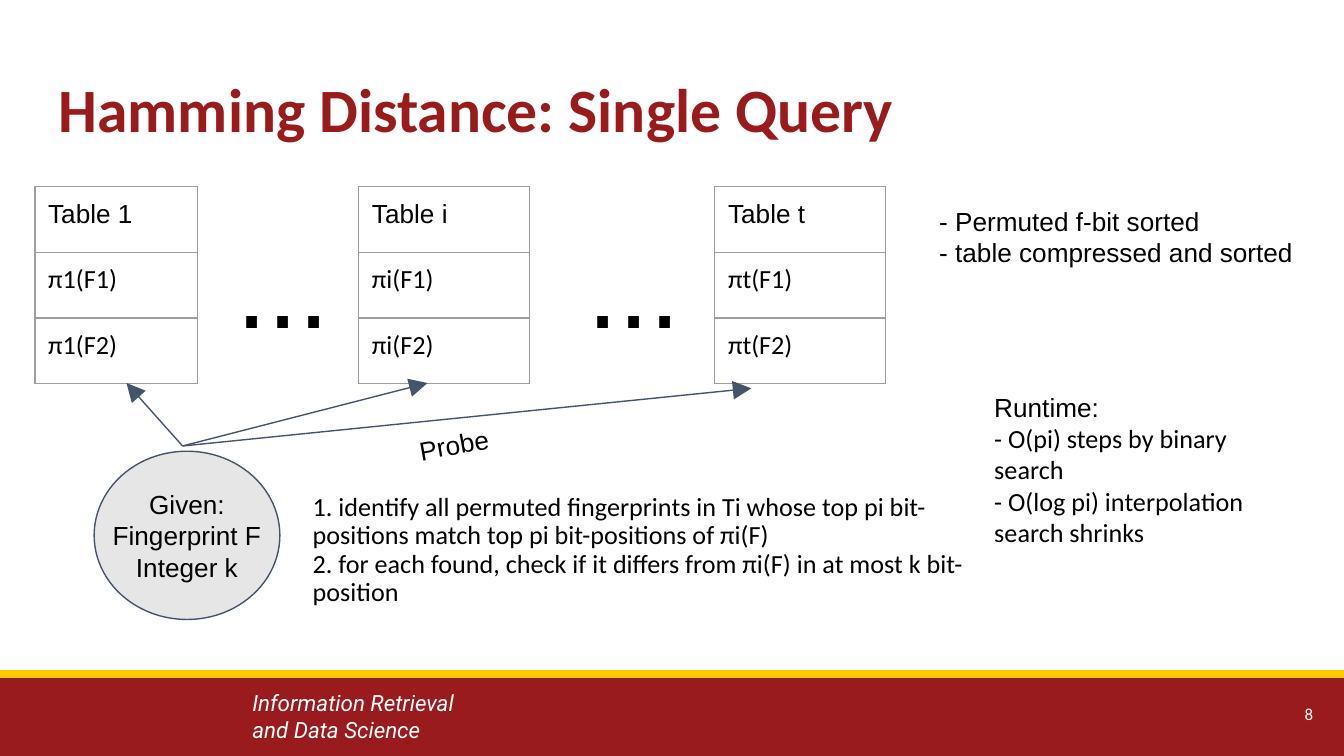
from dataclasses import dataclass

from lxml.etree import SubElement
from pptx import Presentation
from pptx.dml.color import RGBColor
from pptx.enum.shapes import MSO_CONNECTOR, MSO_SHAPE
from pptx.enum.text import MSO_ANCHOR, MSO_AUTO_SIZE, PP_ALIGN
from pptx.oxml import parse_xml
from pptx.oxml.ns import nsdecls, qn
from pptx.shapes.base import BaseShape
from pptx.slide import Slide
from pptx.text.text import TextFrame
from pptx.util import Cm, Pt

CRIMSON, GOLD, SLATE = "991B1D", "FFCC01", "44546A"
BLACK, WHITE, PALE_GRAY, BORDER_GRAY = "000000", "FFFFFF", "E7E6E6", "9E9E9E"
TABLE_TOP, ROW_HEIGHT = 3.53, 1.24
INSET = 0.25


@dataclass
class Box:
    left: float
    top: float
    width: float
    height: float

    def lengths(self) -> tuple:
        return Cm(self.left), Cm(self.top), Cm(self.width), Cm(self.height)


@dataclass
class FingerprintTable:
    index: str
    left: float
    width: float


@dataclass
class Arrow:
    end_x: float
    end_y: float


FINGERPRINT_TABLES = [
    FingerprintTable("1", 0.66, 3.07),
    FingerprintTable("i", 6.78, 3.23),
    FingerprintTable("t", 13.51, 3.23),
]
PROBE_START = (3.45, 8.43)
PROBE_ARROWS = [Arrow(2.39, 7.24), Arrow(8.08, 7.24), Arrow(14.2, 7.34)]


def color(value: str) -> RGBColor:
    return RGBColor.from_string(value)


def write_text(frame: TextFrame, text: str, *, font: str = "Arial", first_font: str = "",
               size: float = 14, fill: str = BLACK, bold: bool = False, italic: bool = False,
               align: PP_ALIGN = PP_ALIGN.LEFT, spacing: float = 1.0) -> None:
    for number, line in enumerate(text.split("\n")):
        paragraph = frame.add_paragraph() if number else frame.paragraphs[0]
        paragraph.alignment = align
        paragraph.line_spacing = spacing
        paragraph.space_before = paragraph.space_after = Pt(0)
        properties = paragraph._p.get_or_add_pPr()
        properties.set("marL", "0")
        properties.set("indent", "0")
        SubElement(properties, qn("a:buNone"))
        run = paragraph.add_run()
        run.text = line
        run.font.name = first_font if first_font and number == 0 else font
        run.font.size = Pt(size)
        run.font.bold = bold
        run.font.italic = italic
        run.font.color.rgb = color(fill)


def fill_box(shape: BaseShape, box: Box, text: str, *, anchor: MSO_ANCHOR = MSO_ANCHOR.TOP,
             inset: float = INSET, vertical_inset: float = INSET, wrap: bool = True,
             **text_format) -> None:
    shape.left, shape.top, shape.width, shape.height = box.lengths()
    frame = shape.text_frame
    frame.auto_size = MSO_AUTO_SIZE.NONE
    frame.word_wrap = wrap
    frame.vertical_anchor = anchor
    frame.margin_left = frame.margin_right = Cm(inset)
    frame.margin_top = frame.margin_bottom = Cm(vertical_inset)
    write_text(frame, text, **text_format)


def add_label(slide: Slide, box: Box, text: str, **box_format) -> BaseShape:
    label = slide.shapes.add_textbox(*box.lengths())
    fill_box(label, box, text, **box_format)
    return label


def add_filled_shape(slide: Slide, kind: MSO_SHAPE, box: Box, fill: str) -> BaseShape:
    shape = slide.shapes.add_shape(kind, *box.lengths())
    shape.shadow.inherit = False
    shape.fill.solid()
    shape.fill.fore_color.rgb = color(fill)
    shape.line.fill.background()
    return shape


def add_line(slide: Slide, start: tuple, end: tuple, stroke: str, width: float,
             arrowhead: bool = False) -> None:
    points = [Cm(value) for value in (*start, *end)]
    connector = slide.shapes.add_connector(MSO_CONNECTOR.STRAIGHT, *points)
    connector.line.color.rgb = color(stroke)
    connector.line.width = Pt(width)
    properties = connector._element.spPr
    if arrowhead:
        SubElement(properties.find(qn("a:ln")), qn("a:tailEnd"), type="triangle", w="lg", len="lg")
    SubElement(properties, qn("a:effectLst"))


def add_fingerprint_table(slide: Slide, item: FingerprintTable) -> None:
    texts = [f"Table {item.index}", f"π{item.index}(F1)", f"π{item.index}(F2)"]
    box = Box(item.left, TABLE_TOP, item.width, ROW_HEIGHT * len(texts))
    table = slide.shapes.add_table(len(texts), 1, *box.lengths()).table
    table.first_row = table.horz_banding = False
    for row, text in enumerate(texts):
        table.rows[row].height = Cm(ROW_HEIGHT)
        cell = table.cell(row, 0)
        cell.margin_left = cell.margin_right = cell.margin_top = cell.margin_bottom = Cm(INSET)
        cell.fill.background()
        properties = cell._tc.get_or_add_tcPr()
        for position, side in enumerate(("lnL", "lnR", "lnT", "lnB")):
            properties.insert(position, parse_xml(
                f'<a:{side} {nsdecls("a")} w="{Pt(0.75)}"><a:solidFill>'
                f'<a:srgbClr val="{BORDER_GRAY}"/></a:solidFill></a:{side}>'))
        if row == 0:
            write_text(cell.text_frame, text)
        else:
            write_text(cell.text_frame, text, font="Calibri", spacing=0.9)


def add_footer(slide: Slide) -> None:
    add_filled_shape(slide, MSO_SHAPE.RECTANGLE, Box(0, 12.74, 25.4, 1.55), CRIMSON)
    add_line(slide, (0, 12.74), (25.4, 12.74), GOLD, 4.5)
    add_label(slide, Box(4.52, 12.9, 4.55, 1.27), "Information Retrieval\nand Data Science",
              vertical_inset=0.13, font="Roboto", size=12, fill=WHITE, italic=True)
    add_label(slide, Box(23.55, 12.95, 1.52, 1.09), "8", anchor=MSO_ANCHOR.MIDDLE,
              font="Calibri", size=9, fill=WHITE, align=PP_ALIGN.RIGHT)


def fill_placeholders(slide: Slide) -> None:
    title, properties, steps, runtime, unused = slide.placeholders
    fill_box(title, Box(0.86, 1.24, 23.67, 1.6), "Hamming Distance: Single Query",
             font="Calibri", size=33, fill=CRIMSON, bold=True, spacing=0.9)
    fill_box(properties, Box(17.5, 3.63, 7.34, 2.24),
             "- Permuted f-bit sorted\n- table compressed and sorted")
    fill_box(steps, Box(5.66, 9.09, 12.93, 3.02),
             "1. identify all permuted fingerprints in Ti whose top pi bit-positions match "
             "top pi bit-positions of πi(F)\n"
             "2. for each found, check if it differs from πi(F) in at most k bit-position",
             font="Calibri", spacing=0.9)
    fill_box(runtime, Box(18.54, 7.14, 5.99, 3.4),
             "Runtime:\n- O(pi) steps by binary search\n- O(log pi) interpolation search shrinks",
             font="Calibri", first_font="Arial")
    unused._element.getparent().remove(unused._element)


def main() -> None:
    presentation = Presentation()
    presentation.slide_width = Cm(25.4)
    presentation.slide_height = Cm(14.29)
    slide = presentation.slides.add_slide(presentation.slide_layouts.get_by_name("Comparison"))
    fill_placeholders(slide)
    add_footer(slide)
    for item in FINGERPRINT_TABLES:
        add_fingerprint_table(slide, item)
    for left in (4.22, 10.85):
        add_label(slide, Box(left, 3.84, 4.6, 1.75), "...", size=60)
    query_box = Box(1.78, 8.53, 3.51, 3.18)
    query = add_filled_shape(slide, MSO_SHAPE.OVAL, query_box, PALE_GRAY)
    query.line.color.rgb = color(SLATE)
    query.line.width = Pt(0.75)
    fill_box(query, query_box, "Given:\nFingerprint F\nInteger k", anchor=MSO_ANCHOR.MIDDLE,
             inset=0, vertical_inset=0, wrap=False, align=PP_ALIGN.CENTER)
    for arrow in PROBE_ARROWS:
        add_line(slide, PROBE_START, (arrow.end_x, arrow.end_y), SLATE, 0.75, arrowhead=True)
    add_label(slide, Box(7.65, 7.67, 3.94, 1.09), "Probe").rotation = -10.2
    presentation.save("out.pptx")


if __name__ == "__main__":
    main()
